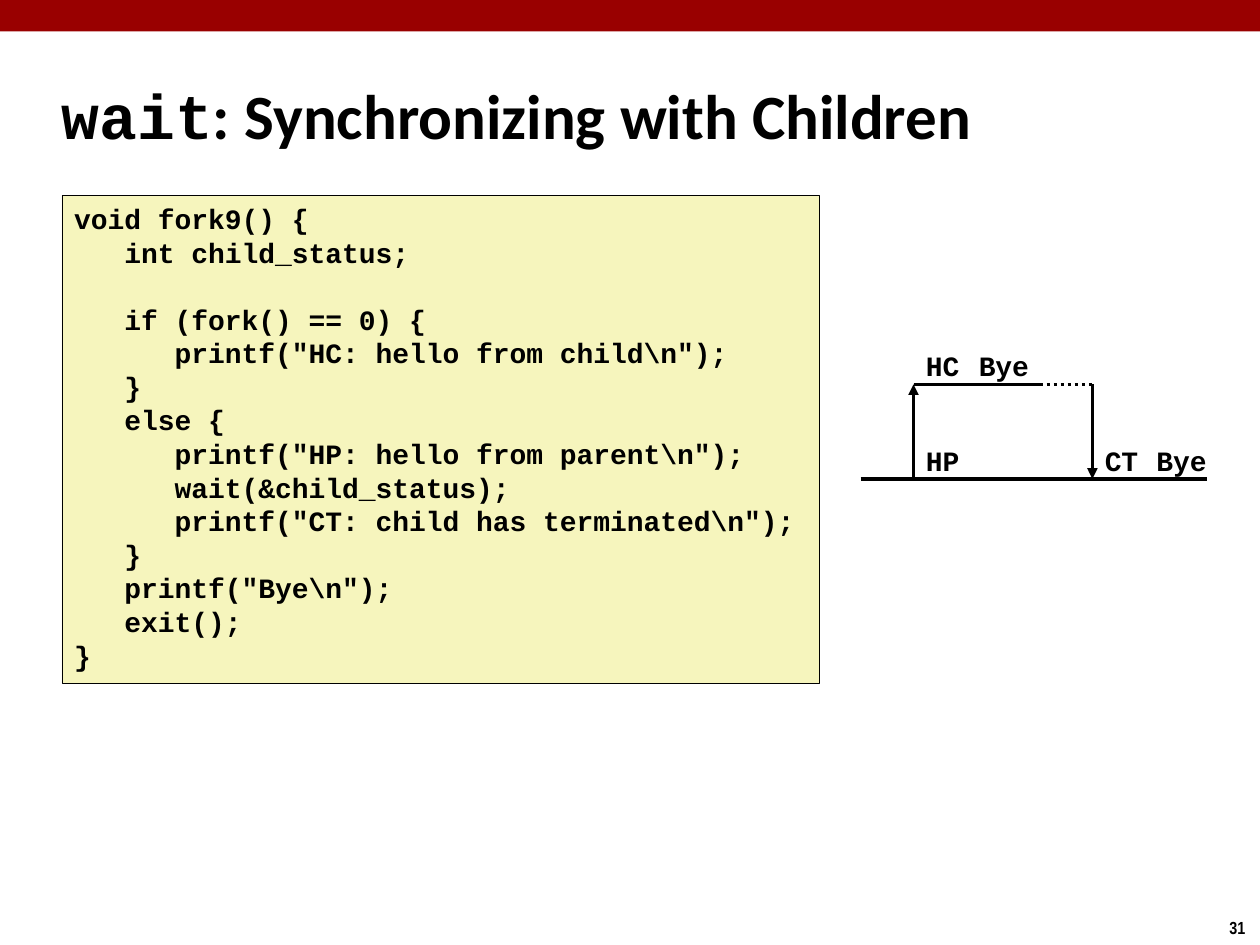
from dataclasses import dataclass
from itertools import pairwise

from lxml import etree
from pptx import Presentation
from pptx.dml.color import RGBColor
from pptx.enum.dml import MSO_LINE
from pptx.enum.shapes import MSO_CONNECTOR, MSO_SHAPE
from pptx.enum.text import MSO_ANCHOR, MSO_AUTO_SIZE, PP_ALIGN
from pptx.oxml.ns import qn
from pptx.util import Inches, Pt

RECT = MSO_SHAPE.RECTANGLE
LINE = MSO_CONNECTOR.STRAIGHT
DOT = MSO_LINE.ROUND_DOT
LEFT = PP_ALIGN.LEFT
MIDDLE = MSO_ANCHOR.MIDDLE
TOP = MSO_ANCHOR.TOP
GROW = MSO_AUTO_SIZE.SHAPE_TO_FIT_TEXT


@dataclass(frozen=True)
class Theme:
    """Colours, fonts and sizes of the slide."""
    ink: RGBColor = RGBColor(0, 0, 0)
    band: RGBColor = RGBColor(0x99, 0, 0)
    panel: RGBColor = RGBColor(0xF6, 0xF5, 0xBD)
    head: str = "Calibri"
    mono: str = "Courier New"
    small: str = "Arial Narrow"
    title: Pt = Pt(36)
    code: Pt = Pt(16)
    page: Pt = Pt(10)
    rule: Pt = Pt(2)
    edge: Pt = Pt(0.25)


THEME = Theme()

CODE = r"""void fork9() {
   int child_status;

   if (fork() == 0) {
      printf("HC: hello from child\n");
   }
   else {
      printf("HP: hello from parent\n");
      wait(&child_status);
      printf("CT: child has terminated\n");
   }
   printf("Bye\n");
   exit();
}"""


def style(font, name, size):
    """Set a bold dark font."""
    font.name, font.size, font.bold = name, size, True
    font.color.rgb = THEME.ink


def fill_text(frame, text, name, size):
    """Put unwrapped, left-aligned text in a growing frame."""
    frame.text = text
    frame.word_wrap = False
    frame.auto_size = GROW
    for para in frame.paragraphs:
        para.alignment = LEFT
        style(para.font, name, size)
        for run in para.runs:
            style(run.font, name, size)


def add_label(slide, text, box, name, size):
    """Add a text box."""
    label = slide.shapes.add_textbox(*map(Inches, box))
    fill_text(label.text_frame, text, name, size)


def add_panel(slide, box, color):
    """Add a plain filled rectangle."""
    panel = slide.shapes.add_shape(RECT, *map(Inches, box))
    panel.shadow.inherit = False
    panel.fill.solid()
    panel.fill.fore_color.rgb = color
    panel.line.fill.background()
    return panel


def add_line(slide, start, end, dash=None, arrow=False):
    """Draw a line, dotted or with an arrowhead if asked."""
    line = slide.shapes.add_connector(LINE, *map(Inches, start + end))
    line.line.color.rgb = THEME.ink
    line.line.width = THEME.rule
    if dash:
        line.line.dash_style = dash
    if arrow:
        stroke = line.line._get_or_add_ln()
        etree.SubElement(stroke, qn("a:tailEnd"), type="triangle")
    etree.SubElement(line._element.spPr, qn("a:effectLst"))


def add_frame(slide, width, height):
    """Place the top band and the page number."""
    add_panel(slide, (0, 0, width, 0.25), THEME.band)
    page = (width - 0.34, height - 0.27, 0.34, 0.27)
    add_label(slide, "31", page, THEME.small, THEME.page)


def add_title(slide, box):
    """Fill and place the title."""
    title = slide.shapes.title
    title.left, title.top, title.width, title.height = map(Inches, box)
    frame = title.text_frame
    frame.word_wrap = True
    frame.vertical_anchor = MIDDLE
    para = frame.paragraphs[0]
    para.alignment = LEFT
    parts = (("wait", THEME.mono), (": Synchronizing with Children", THEME.head))
    for text, name in parts:
        run = para.add_run()
        run.text = text
        style(run.font, name, THEME.title)


def add_code(slide, box):
    """Place the code listing."""
    panel = add_panel(slide, box, THEME.panel)
    panel.line.color.rgb = THEME.ink
    panel.line.width = THEME.edge
    panel.text_frame.vertical_anchor = TOP
    fill_text(panel.text_frame, CODE, THEME.mono, THEME.code)


def add_graph(slide, box):
    """Draw the process graph of parent and child."""
    left, top, width, height = box
    low, high = top + height, top + 0.33
    steps = (0, 0.42, 0.84, 1.42, 1.84, 2.25, width)
    stops = [left + step for step in steps]
    fork, hello, bye, join, reaped = stops[1:6]
    for start, end in pairwise(stops):
        add_line(slide, (start, low), (end, low))
    add_line(slide, (fork, low), (fork, high), arrow=True)
    for start, end in pairwise((fork, hello, bye)):
        add_line(slide, (start, high), (end, high))
    add_line(slide, (bye, high), (join, high), dash=DOT)
    add_line(slide, (join, high), (join, low), arrow=True)
    labels = (("HP", fork, low), ("HC", fork, high), ("Bye", hello, high),
              ("CT", join, low), ("Bye", reaped, low))
    for text, x, y in labels:
        wide = 0.21 + 0.13 * len(text)
        spot = (x, y - 0.33, wide, 0.37)
        add_label(slide, text, spot, THEME.mono, THEME.code)


def main():
    """Build and save the slide."""
    deck = Presentation()
    width, height = 10, 7.5
    deck.slide_width, deck.slide_height = Inches(width), Inches(height)
    slide = deck.slides.add_slide(deck.slide_layouts[5])
    add_frame(slide, width, height)
    add_title(slide, (0.39, 0.49, 8.3, 0.83))
    add_code(slide, (0.49, 1.55, 6.01, 3.87))
    add_graph(slide, (6.83, 2.72, 2.75, 1.08))
    deck.save("out.pptx")


if __name__ == "__main__":
    main()
